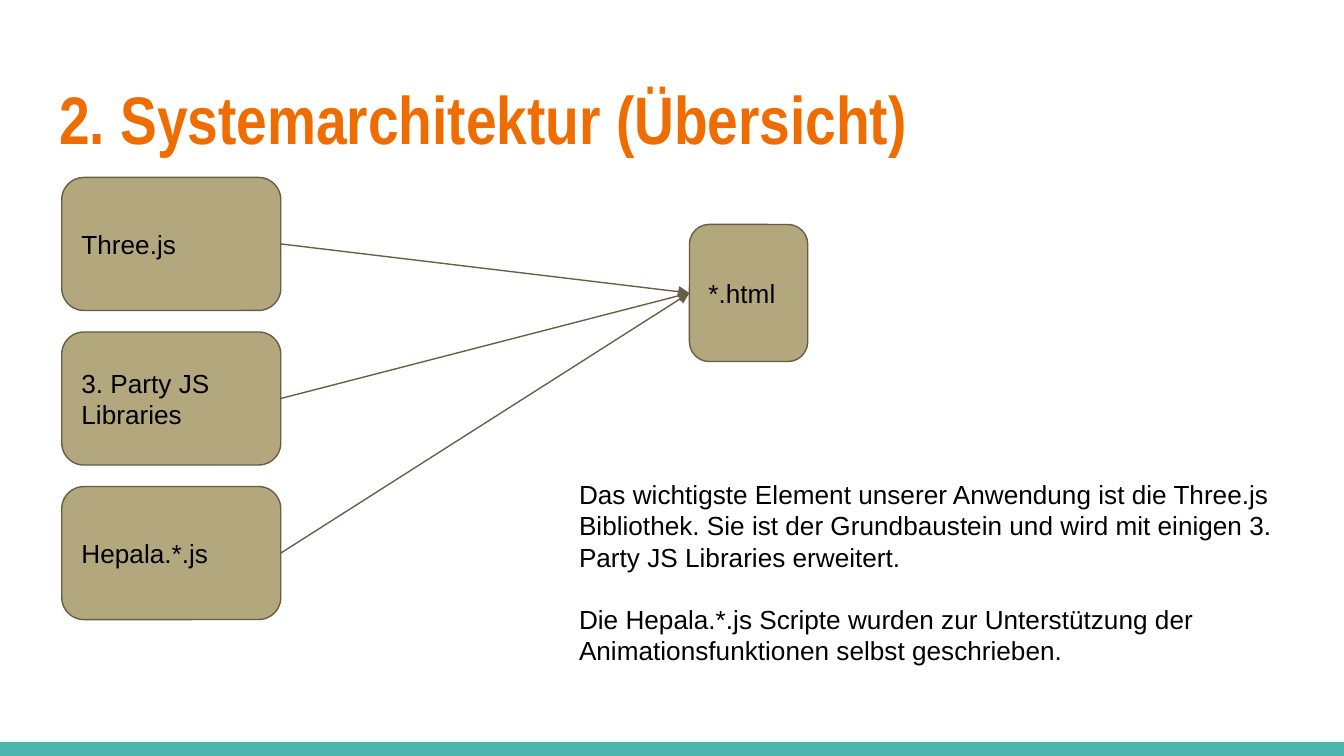
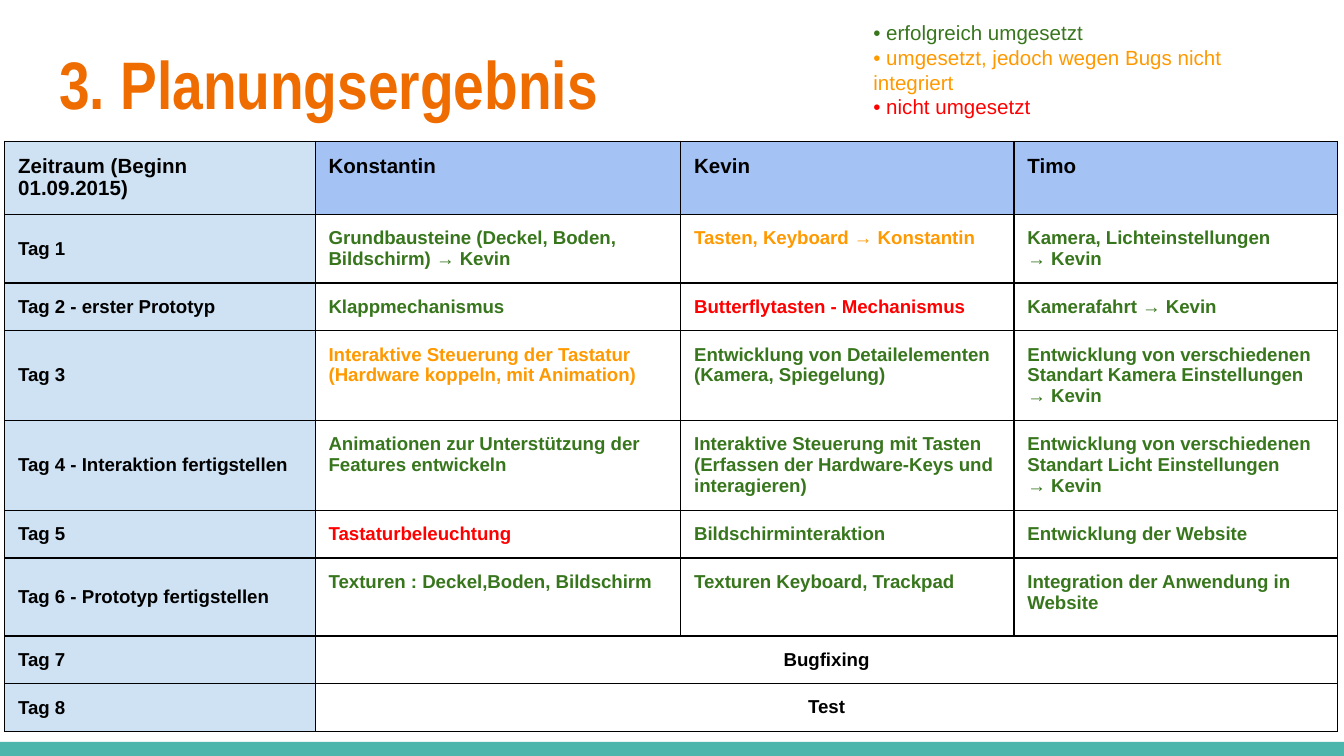
from dataclasses import dataclass
from enum import Enum
from typing import Any, NamedTuple

from lxml.etree import SubElement
from pptx import Presentation
from pptx.dml.color import RGBColor as Color
from pptx.enum.shapes import MSO_CONNECTOR as Connector, MSO_SHAPE as Preset
from pptx.enum.text import MSO_ANCHOR as Anchor, MSO_AUTO_SIZE as AutoSize, PP_ALIGN as Align
from pptx.oxml.ns import qn
from pptx.util import Emu, Pt

PX = 4572
LEFT, RIGHT = 1, 3
MARGINS = ("margin_left", "margin_top", "margin_right", "margin_bottom")


@dataclass(frozen=True)
class Theme:
    """Colours, fonts and type sizes shared by the slides."""

    font: str = "Arial"
    title_font: str = "Arial Narrow"
    title_size: int = 36
    body_size: int = 14
    header_size: int = 11
    cell_size: int = 10
    line_width: float = 0.75
    inset: int = 20
    text: str = "000000"
    title: str = "EF6C00"
    band: str = "4DB6AC"
    box: str = "B3A77D"
    outline: str = "695D46"
    period: str = "CFE2F3"
    person: str = "A4C2F4"


THEME = Theme()


class Status(Enum):
    """Text colour of each planning outcome."""

    DONE = "38761D"
    UNMERGED = "FF9900"
    MISSED = "FF0000"


class Area(NamedTuple):
    """Position and size in px."""

    left: int
    top: int
    width: int
    height: int

    def emu(self) -> tuple[Emu, ...]:
        """Return the four lengths in EMU."""
        return tuple(Emu(value * PX) for value in self)


class Box(NamedTuple):
    """A labelled component of the architecture."""

    label: str
    area: Area


class Task(NamedTuple):
    """A planned task and its outcome."""

    text: str
    status: Status = Status.DONE


class Day(NamedTuple):
    """A table row with one task per person."""

    period: str
    height: int
    tasks: tuple[Task, ...]


class Phase(NamedTuple):
    """A table row with one activity shared by everybody."""

    period: str
    height: int
    activity: str


SLIDE_WIDTH, SLIDE_HEIGHT = 2000, 1125
BAND = Area(0, 1104, SLIDE_WIDTH, 21)

LIBRARIES = [
    Box(label, Area(92, 264 + 230 * index, 326, 198))
    for index, label in enumerate(("Three.js", "3. Party JS Libraries", "Hepala.*.js"))
]
PAGE = Box("*.html", Area(1026, 334, 176, 204))
EXPLANATION = (
    "Das wichtigste Element unserer Anwendung ist die Three.js Bibliothek. "
    "Sie ist der Grundbaustein und wird mit einigen 3. Party JS Libraries erweitert.",
    "Die Hepala.*.js Scripte wurden zur Unterstützung der Animationsfunktionen selbst geschrieben.",
)

LEGEND = (
    Task("erfolgreich umgesetzt"),
    Task("umgesetzt, jedoch wegen Bugs nicht integriert", Status.UNMERGED),
    Task("nicht umgesetzt", Status.MISSED),
)
HEADERS = ("Zeitraum (Beginn 01.09.2015)", "Konstantin", "Kevin", "Timo")
HEADER_HEIGHT = 109
COLUMN_WIDTHS = (462, 544, 496, 482)
DAYS = (
    Day("Tag 1", 101, (
        Task("Grundbausteine (Deckel, Boden, Bildschirm) → Kevin"),
        Task("Tasten, Keyboard → Konstantin", Status.UNMERGED),
        Task("Kamera, Lichteinstellungen\v→ Kevin"),
    )),
    Day("Tag 2 - erster Prototyp", 71, (
        Task("Klappmechanismus"),
        Task("Butterflytasten - Mechanismus", Status.MISSED),
        Task("Kamerafahrt → Kevin"),
    )),
    Day("Tag 3", 133, (
        Task("Interaktive Steuerung der Tastatur\n(Hardware koppeln, mit Animation)", Status.UNMERGED),
        Task("Entwicklung von Detailelementen (Kamera, Spiegelung)"),
        Task("Entwicklung von verschiedenen Standart Kamera Einstellungen\v→ Kevin"),
    )),
    Day("Tag 4 - Interaktion fertigstellen", 134, (
        Task("Animationen zur Unterstützung der Features entwickeln"),
        Task("Interaktive Steuerung mit Tasten\n(Erfassen der Hardware-Keys und interagieren)"),
        Task("Entwicklung von verschiedenen Standart Licht Einstellungen\v→ Kevin"),
    )),
    Day("Tag 5", 70, (
        Task("Tastaturbeleuchtung", Status.MISSED),
        Task("Bildschirminteraktion"),
        Task("Entwicklung der Website"),
    )),
    Day("Tag 6 - Prototyp fertigstellen", 116, (
        Task("Texturen : Deckel,Boden, Bildschirm"),
        Task("Texturen Keyboard, Trackpad"),
        Task("Integration der Anwendung in Website"),
    )),
)
PHASES = (Phase("Tag 7", 71, "Bugfixing"), Phase("Tag 8", 71, "Test"))


def set_values(target: Any, values: dict[str, Any]) -> None:
    """Set every attribute named in values."""
    for name, value in values.items():
        setattr(target, name, value)


def set_insets(target: Any) -> None:
    """Give a text frame or cell equal insets."""
    set_values(target, dict.fromkeys(MARGINS, Emu(THEME.inset * PX)))


def format_runs(paragraph: Any, size: int, color: str = THEME.text, bold: bool = False,
                font: str = THEME.font) -> None:
    """Give all runs of a paragraph one look."""
    for run in paragraph.runs:
        set_values(run.font, {"name": font, "size": Pt(size), "bold": bold})
        run.font.color.rgb = Color.from_string(color)


def format_frame(frame: Any, anchor: Anchor = Anchor.TOP) -> None:
    """Set wrapping, anchor and insets."""
    set_insets(frame)
    set_values(frame, {"word_wrap": True, "auto_size": AutoSize.NONE, "vertical_anchor": anchor})


def add_filled_shape(slide: Any, preset: Preset, area: Area, fill: str) -> Any:
    """Add a flat shape without an outline."""
    shape = slide.shapes.add_shape(preset, *area.emu())
    shape.shadow.inherit = False
    shape.fill.solid()
    shape.fill.fore_color.rgb = Color.from_string(fill)
    shape.line.fill.background()
    return shape


def format_line(line: Any) -> None:
    """Apply the diagram's line colour and width."""
    line.color.rgb = Color.from_string(THEME.outline)
    line.width = Pt(THEME.line_width)


def add_titled_slide(presentation: Any, title: str, area: Area) -> Any:
    """Add a slide with its title and the bottom band."""
    slide = presentation.slides.add_slide(presentation.slide_layouts[5])
    placeholder = slide.shapes.title
    set_values(placeholder, dict(zip(("left", "top", "width", "height"), area.emu())))
    format_frame(placeholder.text_frame, Anchor.MIDDLE)
    placeholder.text_frame.text = title
    paragraph = placeholder.text_frame.paragraphs[0]
    paragraph.alignment = Align.LEFT
    format_runs(paragraph, THEME.title_size, THEME.title, True, THEME.title_font)
    add_filled_shape(slide, Preset.RECTANGLE, BAND, THEME.band)
    return slide


def add_text_frame(slide: Any, area: Area) -> Any:
    """Add a text box and return its text frame."""
    frame = slide.shapes.add_textbox(*area.emu()).text_frame
    format_frame(frame)
    return frame


def add_box(slide: Any, box: Box) -> Any:
    """Draw a component as a rounded box."""
    shape = add_filled_shape(slide, Preset.ROUNDED_RECTANGLE, box.area, THEME.box)
    format_line(shape.line)
    format_frame(shape.text_frame, Anchor.MIDDLE)
    shape.text_frame.text = box.label
    paragraph = shape.text_frame.paragraphs[0]
    paragraph.alignment = Align.LEFT
    format_runs(paragraph, THEME.body_size)
    return shape


def add_arrow(slide: Any, source: Any, target: Any) -> None:
    """Join the right side of source to the left side of target."""
    connector = slide.shapes.add_connector(Connector.STRAIGHT, 0, 0, 0, 0)
    connector.begin_connect(source, RIGHT)
    connector.end_connect(target, LEFT)
    format_line(connector.line)
    properties = connector.element.spPr
    SubElement(properties.find(qn("a:ln")), qn("a:tailEnd"), type="triangle")
    SubElement(properties, qn("a:effectLst"))


def add_borders(frame: Any) -> None:
    """Outline every cell of a table."""
    for table_cell in frame.element.iter(qn("a:tc")):
        for side in ("lnL", "lnR", "lnT", "lnB"):
            line = SubElement(table_cell.get_or_add_tcPr(), qn(f"a:{side}"), w=str(Pt(THEME.line_width)))
            SubElement(SubElement(line, qn("a:solidFill")), qn("a:srgbClr"), val=THEME.text)


def write_cell(cell: Any, text: str, color: str = THEME.text, fill: str | None = None,
               size: int = THEME.cell_size, align: Align = Align.LEFT,
               anchor: Anchor = Anchor.TOP) -> None:
    """Fill a table cell with bold text."""
    set_insets(cell)
    cell.vertical_anchor = anchor
    cell.text_frame.text = text
    for paragraph in cell.text_frame.paragraphs:
        paragraph.alignment = align
        format_runs(paragraph, size, color, True)
    if fill:
        cell.fill.solid()
        cell.fill.fore_color.rgb = Color.from_string(fill)
    else:
        cell.fill.background()


def add_plan(slide: Any) -> None:
    """Add the table of days, people and tasks."""
    rows = DAYS + PHASES
    heights = (HEADER_HEIGHT, *(row.height for row in rows))
    area = Area(7, 210, sum(COLUMN_WIDTHS), sum(heights))
    frame = slide.shapes.add_table(len(heights), len(COLUMN_WIDTHS), *area.emu())
    table = frame.table
    set_values(table, {"first_row": False, "horz_banding": False})
    for column, width in zip(table.columns, COLUMN_WIDTHS):
        column.width = Emu(width * PX)
    for table_row, height in zip(table.rows, heights):
        table_row.height = Emu(height * PX)
    add_borders(frame)
    for index, header in enumerate(HEADERS):
        fill = THEME.person if index else THEME.period
        write_cell(table.cell(0, index), header, fill=fill, size=THEME.header_size)
    for number, row in enumerate(rows, 1):
        write_cell(table.cell(number, 0), row.period, fill=THEME.period, anchor=Anchor.MIDDLE)
        if isinstance(row, Phase):
            table.cell(number, 1).merge(table.cell(number, len(HEADERS) - 1))
            write_cell(table.cell(number, 1), row.activity, align=Align.CENTER)
        else:
            for index, task in enumerate(row.tasks, 1):
                write_cell(table.cell(number, index), task.text, task.status.value)


def build_architecture(presentation: Any) -> None:
    """Build the overview of libraries and page."""
    slide = add_titled_slide(presentation, "2. Systemarchitektur (Übersicht)", Area(68, 98, 1864, 154))
    page = add_box(slide, PAGE)
    for library in LIBRARIES:
        add_arrow(slide, add_box(slide, library), page)
    frame = add_text_frame(slide, Area(842, 692, 1090, 336))
    frame.text = "\n".join(EXPLANATION)
    for paragraph in frame.paragraphs:
        format_runs(paragraph, THEME.body_size)
    frame.paragraphs[1].space_before = Pt(16.5)


def build_planning(presentation: Any) -> None:
    """Build the planning result with its legend."""
    slide = add_titled_slide(presentation, "3. Planungsergebnis", Area(68, 46, 932, 154))
    add_plan(slide)
    frame = add_text_frame(slide, Area(1280, 10, 674, 184))
    frame.text = "\n".join(f"• {entry.text}" for entry in LEGEND)
    for paragraph, entry in zip(frame.paragraphs, LEGEND):
        format_runs(paragraph, THEME.header_size, entry.status.value)


def main() -> None:
    """Build and save the presentation."""
    presentation = Presentation()
    set_values(presentation, {"slide_width": Emu(SLIDE_WIDTH * PX), "slide_height": Emu(SLIDE_HEIGHT * PX)})
    build_architecture(presentation)
    build_planning(presentation)
    presentation.save("out.pptx")


if __name__ == "__main__":
    main()
